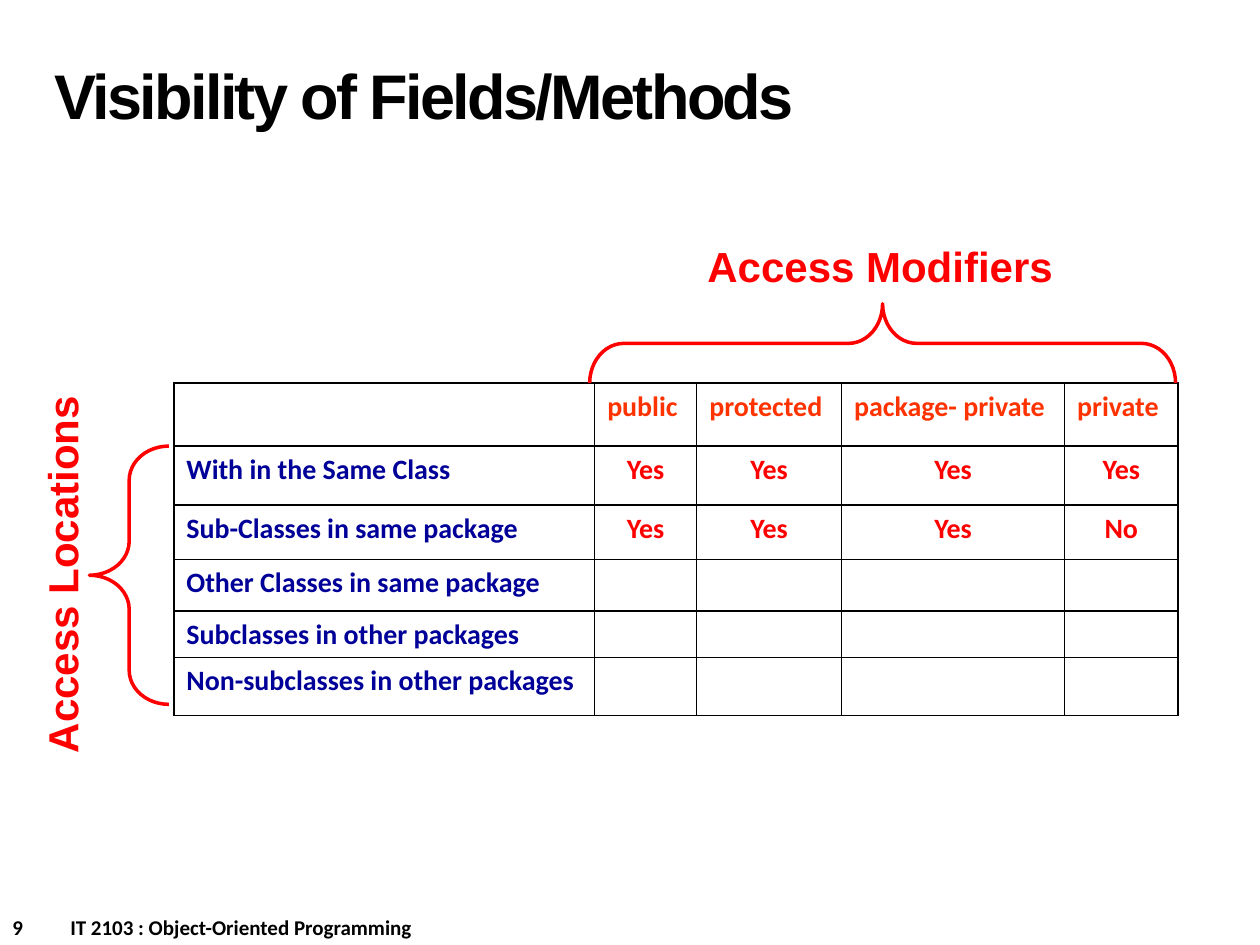
"""Build the slide on visibility of fields and methods."""
from dataclasses import dataclass
from typing import Any

from lxml.etree import SubElement
from pptx import Presentation
from pptx.dml.color import RGBColor as Color
from pptx.enum.shapes import MSO_SHAPE as Preset
from pptx.enum.text import MSO_ANCHOR as Anchor
from pptx.enum.text import MSO_AUTO_SIZE as AutoSize
from pptx.enum.text import PP_ALIGN as Align
from pptx.oxml import parse_xml
from pptx.oxml.ns import nsdecls, qn
from pptx.util import Inches, Pt

COLUMNS, ROWS = 100, 75
WIDTH, HEIGHT = Inches(10), Inches(7.5)


@dataclass(frozen=True)
class Style:
    """Font face, size in points and colour of a span."""
    name: str
    size: float
    color: str


@dataclass(frozen=True)
class Theme:
    """All colours and type sizes of the slide."""
    title: Style = Style("Arial", 36, "000000")
    label: Style = Style("Arial", 24, "FF0000")
    modifier: Style = Style("Calibri", 16, "FF3300")
    location: Style = Style("Calibri", 16, "000099")
    answer: Style = Style("Calibri", 16, "FF0000")
    footer: Style = Style("Calibri", 12, "000000")
    brace: str = "FF0000"
    border: str = "000000"
    brace_width: float = 2
    border_width: float = 1


@dataclass(frozen=True)
class Area:
    """A place on the slide in grid columns and rows."""
    left: float
    top: float
    width: float
    height: float
    rotation: float = 0

    def box(self) -> tuple[int, int, int, int]:
        """Return left, top, width and height as lengths."""
        return across(self.left), down(self.top), across(self.width), down(self.height)


@dataclass(frozen=True)
class Group:
    """A label and the brace that joins it to the table."""
    text: str
    label: Area
    brace: Area


THEME = Theme()
GROUPS = (
    Group("Access Modifiers", Area(55, 18.6, 29.7, 5), Area(66.9, 4, 6.3, 46.5, 270)),
    Group("Access Locations", Area(-10.4, 43.1, 30.6, 5, 270), Area(7.1, 35.4, 6.3, 20.5, 180)),
)
TABLE_AREA = Area(13.8, 30.4, 79.7, 26.4)
TABLE_COLUMNS = (33.4, 8.1, 11.5, 17.7, 9)
TABLE_ROWS = (5, 4.7, 4.3, 4.1, 3.7, 4.6)
VISIBILITY = (
    ("", "public", "protected", "package- private", "private"),
    ("With in the Same Class", "Yes", "Yes", "Yes", "Yes"),
    ("Sub-Classes in same package", "Yes", "Yes", "Yes", "No"),
    ("Other Classes in same package", "", "", "", ""),
    ("Subclasses in other packages", "", "", "", ""),
    ("Non-subclasses in other packages", "", "", "", ""),
)


def across(columns: float) -> int:
    """Turn grid columns into a length."""
    return round(WIDTH * columns / COLUMNS)


def down(rows: float) -> int:
    """Turn grid rows into a length."""
    return round(HEIGHT * rows / ROWS)


def apply(target: Any, values: dict[str, Any]) -> None:
    """Set each named attribute of the target."""
    for name, value in values.items():
        setattr(target, name, value)


def write(para: Any, text: str, style: Style, align: Any = Align.LEFT) -> Any:
    """Add one bold span to a paragraph and return it."""
    para.alignment = align
    span = para.add_run()
    span.text = text
    apply(span.font, {"name": style.name, "size": Pt(style.size), "bold": True})
    span.font.color.rgb = Color.from_string(style.color)
    return span


def add_title(page: Any, text: str, area: Area) -> None:
    """Place and fill the title placeholder."""
    title = page.shapes.title
    apply(title, dict(zip(("left", "top", "width", "height"), area.box())))
    frame = title.text_frame
    apply(frame, {"vertical_anchor": Anchor.MIDDLE, "auto_size": AutoSize.NONE, "word_wrap": True})
    para = frame.paragraphs[0]
    span = write(para, text, THEME.title)
    para.line_spacing = Pt(THEME.title.size)
    span.font._element.set("spc", "-150")


def add_label(page: Any, text: str, area: Area) -> None:
    """Add a centred label beside a brace."""
    box = page.shapes.add_textbox(*area.box())
    box.rotation = area.rotation
    apply(box.text_frame, {"word_wrap": False, "auto_size": AutoSize.SHAPE_TO_FIT_TEXT})
    write(box.text_frame.paragraphs[0], text, THEME.label, Align.CENTER)


def add_brace(page: Any, area: Area) -> None:
    """Add an outlined curly brace."""
    brace = page.shapes.add_shape(Preset.RIGHT_BRACE, *area.box())
    brace.rotation = area.rotation
    brace.shadow.inherit = False
    brace.adjustments[0], brace.adjustments[1] = 0.43, 0.5
    brace.fill.background()
    brace.line.color.rgb = Color.from_string(THEME.brace)
    brace.line.width = Pt(THEME.brace_width)


def add_borders(cell: Any) -> None:
    """Clear the fill of a cell and rule its four sides."""
    cell.fill.background()
    properties = cell._tc.get_or_add_tcPr()
    for place, side in enumerate(("lnL", "lnR", "lnT", "lnB")):
        properties.insert(place, parse_xml(
            f'<a:{side} {nsdecls("a")} w="{Pt(THEME.border_width)}"><a:solidFill>'
            f'<a:srgbClr val="{THEME.border}"/></a:solidFill></a:{side}>'))


def fill_cell(cell: Any, text: str, row: int, column: int) -> None:
    """Write a cell in the style of its row and column."""
    add_borders(cell)
    para = cell.text_frame.paragraphs[0]
    if not text:
        SubElement(para._p, qn("a:endParaRPr"), sz=str(THEME.answer.size * 100))
    elif row == 0:
        write(para, text, THEME.modifier)
    elif column == 0:
        write(para, text, THEME.location)
    else:
        write(para, text, THEME.answer, Align.CENTER)


def add_visibility_table(page: Any) -> None:
    """Add the table of access locations and modifiers."""
    frame = page.shapes.add_table(len(TABLE_ROWS), len(TABLE_COLUMNS), *TABLE_AREA.box())
    table = frame.table
    apply(table, {"first_row": False, "horz_banding": False})
    for column, width in zip(table.columns, TABLE_COLUMNS):
        column.width = across(width)
    for row, height in zip(table.rows, TABLE_ROWS):
        row.height = down(height)
    for row, texts in enumerate(VISIBILITY):
        for column, text in enumerate(texts):
            fill_cell(table.cell(row, column), text, row, column)


def add_footer(page: Any, number: str, course: str, area: Area) -> None:
    """Add the page number and the course, parted by a tab stop."""
    box = page.shapes.add_textbox(*area.box())
    box.text_frame.word_wrap = True
    para = box.text_frame.paragraphs[0]
    write(para, f"{number}\t{course}", THEME.footer)
    stops = SubElement(para._p.get_or_add_pPr(), qn("a:tabLst"))
    SubElement(stops, qn("a:tab"), pos=str(across(4.6)), algn="l")


def main() -> None:
    """Build and save the deck."""
    deck = Presentation()
    apply(deck, {"slide_width": WIDTH, "slide_height": HEIGHT})
    page = deck.slides.add_slide(deck.slide_layouts.get_by_name("Title Only"))
    add_footer(page, "9", "IT 2103 : Object-Oriented Programming", Area(0, 72.1, 50, 3))
    add_title(page, "Visibility of Fields/Methods", Area(3.3, 1.7, 69.2, 12.5))
    add_visibility_table(page)
    for group in GROUPS:
        add_brace(page, group.brace)
        add_label(page, group.text, group.label)
    deck.save("out.pptx")


if __name__ == "__main__":
    main()
